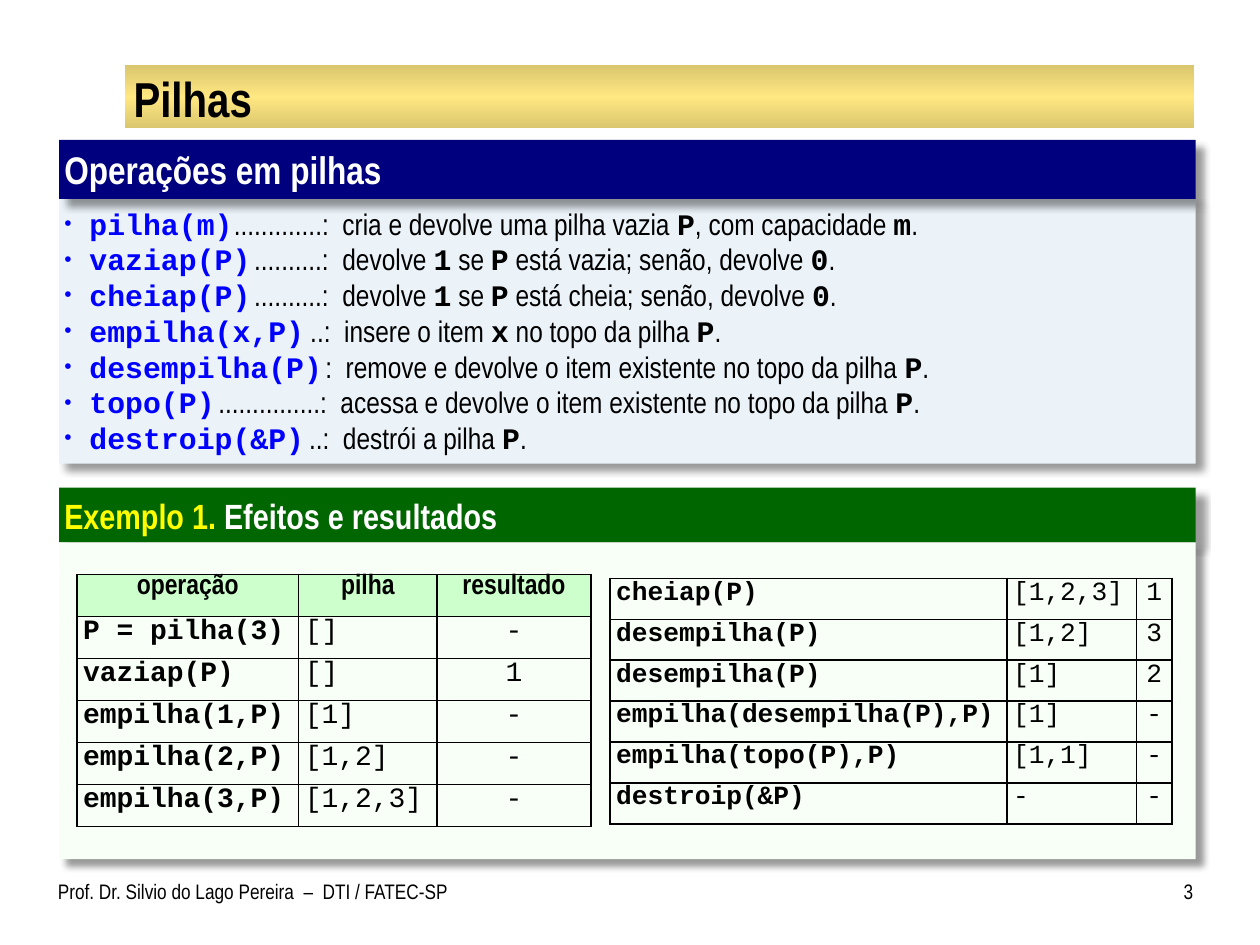
import collections
import itertools
import lxml.etree
import pptx
import pptx.dml.color
import pptx.enum.shapes
import pptx.enum.text
import pptx.oxml
import pptx.oxml.ns
import pptx.util

RGBColor = pptx.dml.color.RGBColor
BLACK = RGBColor(0, 0, 0)
WHITE = RGBColor(255, 255, 255)
NAVY = RGBColor(0, 0, 0x7E)
BLUE = RGBColor(0, 0, 255)
PALE_BLUE = RGBColor(0xEB, 0xF3, 0xF9)
GREEN = RGBColor(0, 0x66, 0)
PALE_GREEN = RGBColor(0xF7, 0xFF, 0xF7)
MINT = RGBColor(0xCC, 0xFF, 0xCC)
YELLOW = RGBColor(255, 255, 0)
GOLD = RGBColor(0xDA, 0xC6, 0x6E)
LIGHT_GOLD = RGBColor(0xFF, 0xE7, 0x81)

SANS, MONO = "Arial Narrow", "Courier New"
COLUMNS, ROWS = 100, 75
NAMESPACE = 'xmlns:a="http://schemas.openxmlformats.org/drawingml/2006/main"'
LEFT, CENTER, RIGHT = (pptx.enum.text.PP_ALIGN.LEFT, pptx.enum.text.PP_ALIGN.CENTER,
                       pptx.enum.text.PP_ALIGN.RIGHT)
MIDDLE, TOP = pptx.enum.text.MSO_ANCHOR.MIDDLE, pptx.enum.text.MSO_ANCHOR.TOP
Box = collections.namedtuple("Box", "left top width height")

OPERATIONS = [
    ("pilha(m)", 3, ".............:  cria e devolve uma pilha vazia `P`, com capacidade `m`."),
    ("vaziap(P)", 9, "..........:  devolve `1` se `P` está vazia; senão, devolve `0`."),
    ("cheiap(P)", 9, "..........:  devolve `1` se `P` está cheia; senão, devolve `0`."),
    ("empilha(x,P)", 15, "..:  insere o item `x` no topo da pilha `P`."),
    ("desempilha(P)", 8, ":  remove e devolve o item existente no topo da pilha `P`."),
    ("topo(P)", 9, "...............:  acessa e devolve o item existente no topo da pilha `P`."),
    ("destroip(&P)", 12, "..:  destrói a pilha `P`."),
]
HEADINGS = ("operação", "pilha", "resultado")
FIRST_STEPS = [
    ("P = pilha(3)", "[]", "-"),
    ("vaziap(P)", "[]", "1"),
    ("empilha(1,P)", "[1]", "-"),
    ("empilha(2,P)", "[1,2]", "-"),
    ("empilha(3,P)", "[1,2,3]", "-"),
]
LAST_STEPS = [
    ("cheiap(P)", "[1,2,3]", "1"),
    ("desempilha(P)", "[1,2]", "3"),
    ("desempilha(P)", "[1]", "2"),
    ("empilha(desempilha(P),P)", "[1]", "-"),
    ("empilha(topo(P),P)", "[1,1]", "-"),
    ("destroip(&P)", "-", "-"),
]


def grid(cells):
    return pptx.util.Inches(cells / 10)


def parse_xml(text):
    return pptx.oxml.parse_xml(text)


def write(para, text, size=16, font=SANS, color=BLACK, bold=False):
    span = para.add_run()
    span.text = text
    span.font.size = pptx.util.Pt(size)
    span.font.name = font
    span.font.bold = bold
    span.font.color.rgb = color


def place(item, box):
    item.left, item.top, item.width, item.height = map(grid, box)


def frame_text(item, margins, anchor=TOP, align=LEFT):
    frame = item.text_frame
    frame.word_wrap = True
    frame.auto_size = pptx.enum.text.MSO_AUTO_SIZE.NONE
    frame.vertical_anchor = anchor
    (frame.margin_left, frame.margin_top,
     frame.margin_right, frame.margin_bottom) = map(grid, margins)
    frame.paragraphs[0].alignment = align
    return frame.paragraphs[0]


def add_rectangle(page, box):
    item = page.shapes.add_shape(pptx.enum.shapes.MSO_SHAPE.RECTANGLE, *map(grid, box))
    item.line.fill.background()
    item.shadow.inherit = False
    return item


def raise_panel(item, color):
    item.fill.solid()
    item.fill.fore_color.rgb = color
    item.line.fill.background()
    item.shadow.inherit = False
    effects = item._element.spPr.find(pptx.oxml.ns.qn("a:effectLst"))
    effects.append(parse_xml(
        f'<a:outerShdw {NAMESPACE} blurRad="50800" dist="76200" dir="2700000" algn="tl" '
        'rotWithShape="0"><a:srgbClr val="000000"><a:alpha val="40000"/></a:srgbClr>'
        '</a:outerShdw>'))


def add_title(page, box):
    bar = add_rectangle(page, box)
    stops = "".join(f'<a:gs pos="{position}"><a:srgbClr val="{color}"/></a:gs>'
                    for position, color in ((0, GOLD), (50000, LIGHT_GOLD), (100000, GOLD)))
    bar.fill.background()
    blank = bar._element.spPr.find(pptx.oxml.ns.qn("a:noFill"))
    blank.getparent().replace(blank, parse_xml(
        f'<a:gradFill {NAMESPACE} rotWithShape="1"><a:gsLst>{stops}</a:gsLst>'
        '<a:lin ang="5400000" scaled="0"/></a:gradFill>'))
    title = page.shapes.title
    title._element.addprevious(bar._element)
    place(title, Box(box.left + 0.1, box.top + 0.2, box.width - 0.2, box.height - 0.3))
    para = frame_text(title, (0.6, 0.1, 0.6, 0.1), MIDDLE)
    write(para, "Pilhas", size=28, bold=True)


def add_heading(page, box, color, size, *parts):
    heading = add_rectangle(page, box)
    raise_panel(heading, color)
    para = frame_text(heading, (0.4, 0.5, 0.4, 0.5), MIDDLE)
    for text, text_color in parts:
        write(para, text, size=size, color=text_color, bold=True)


def add_operations(page, box):
    bar = 4.7
    add_heading(page, box._replace(height=bar), NAVY, 22, ("Operações em pilhas", WHITE))
    body = page.placeholders[1]
    place(body, Box(box.left, box.top + bar, box.width, box.height - bar))
    raise_panel(body, PALE_BLUE)
    first = frame_text(body, (0.4, 0.5, 0.4, 0.5))
    for index, (call, gap, meaning) in enumerate(OPERATIONS):
        para = body.text_frame.add_paragraph() if index else first
        para.space_before = pptx.util.Pt(0)
        properties = para._p.get_or_add_pPr()
        properties.set("marL", str(grid(2)))
        properties.set("indent", str(-grid(2)))
        properties.append(parse_xml(f'<a:buSzPct {NAMESPACE} val="70000"/>'))
        properties.append(parse_xml(f'<a:buChar {NAMESPACE} char="•"/>'))
        write(para, call, size=17, font=MONO, color=BLUE, bold=True)
        write(para, " ", size=gap)
        for text, code in zip(meaning.split("`"), itertools.cycle((False, True))):
            write(para, text, size=17, font=MONO if code else SANS, bold=code)


def border_cell(cell):
    properties = cell._tc.get_or_add_tcPr()
    for index, side in enumerate("LRTB"):
        properties.insert(index, parse_xml(
            f'<a:ln{side} {NAMESPACE} w="12700"><a:solidFill><a:srgbClr val="{BLACK}"/>'
            f'</a:solidFill></a:ln{side}>'))


def add_steps(page, box, widths, steps, size, headings=()):
    rows = ([headings] if headings else []) + steps
    table = page.shapes.add_table(len(rows), len(widths), *map(grid, box)).table
    table.first_row = table.horz_banding = False
    for column, width in zip(table.columns, widths):
        column.width = grid(width)
    for row, texts in zip(table.rows, rows):
        row.height = grid(box.height / len(rows))
        heading = texts is headings
        for index, (cell, text) in enumerate(zip(row.cells, texts)):
            cell.margin_left = cell.margin_right = grid(0.5)
            cell.margin_top = cell.margin_bottom = 0
            if heading:
                cell.fill.solid()
                cell.fill.fore_color.rgb = MINT
            else:
                cell.fill.background()
            border_cell(cell)
            para = cell.text_frame.paragraphs[0]
            para.alignment = CENTER if heading or index == 2 else LEFT
            para.space_before = pptx.util.Pt(1 if heading else 2)
            write(para, text, size=size, font=SANS if heading else MONO,
                  bold=heading or index == 0)


def add_example(page, box):
    bar = 4.35
    add_heading(page, box._replace(height=bar), GREEN, 20,
                ("Exemplo 1.", YELLOW), (" Efeitos e resultados", WHITE))
    panel = add_rectangle(page, Box(box.left, box.top + bar, box.width, box.height - bar))
    raise_panel(panel, PALE_GREEN)
    add_steps(page, Box(box.left + 1.4, box.top + 6.9, 40.8, 20),
              (17.6, 11, 12.2), FIRST_STEPS, 16, HEADINGS)
    add_steps(page, Box(box.left + 43.7, box.top + 7.2, 44.6, 19.5),
              (31.5, 10.3, 2.8), LAST_STEPS, 15)


def add_footer(page, box):
    number = 3.9
    author = page.shapes.add_textbox(*map(grid, box._replace(width=32.7)))
    write(frame_text(author, (0, 0.5, 1, 0.5)),
          "Prof. Dr. Silvio do Lago Pereira  –  DTI / FATEC-SP", size=12)
    counter = page.shapes.add_textbox(
        *map(grid, box._replace(left=box.left + box.width - number, width=number)))
    write(frame_text(counter, (1, 0.5, 0, 0.5), align=RIGHT), "3", size=12)


deck = pptx.Presentation()
deck.slide_width, deck.slide_height = grid(COLUMNS), grid(ROWS)
page = deck.slides.add_slide(deck.slide_layouts[1])
add_title(page, Box(9.9, 5.2, 84.9, 5))
add_operations(page, Box(4.7, 11.1, 90.2, 25.7))
add_example(page, Box(4.7, 38.7, 90.2, 29.5))
add_footer(page, Box(4.6, 69.2, 90.1, 4.2))
deck.save("out.pptx")
